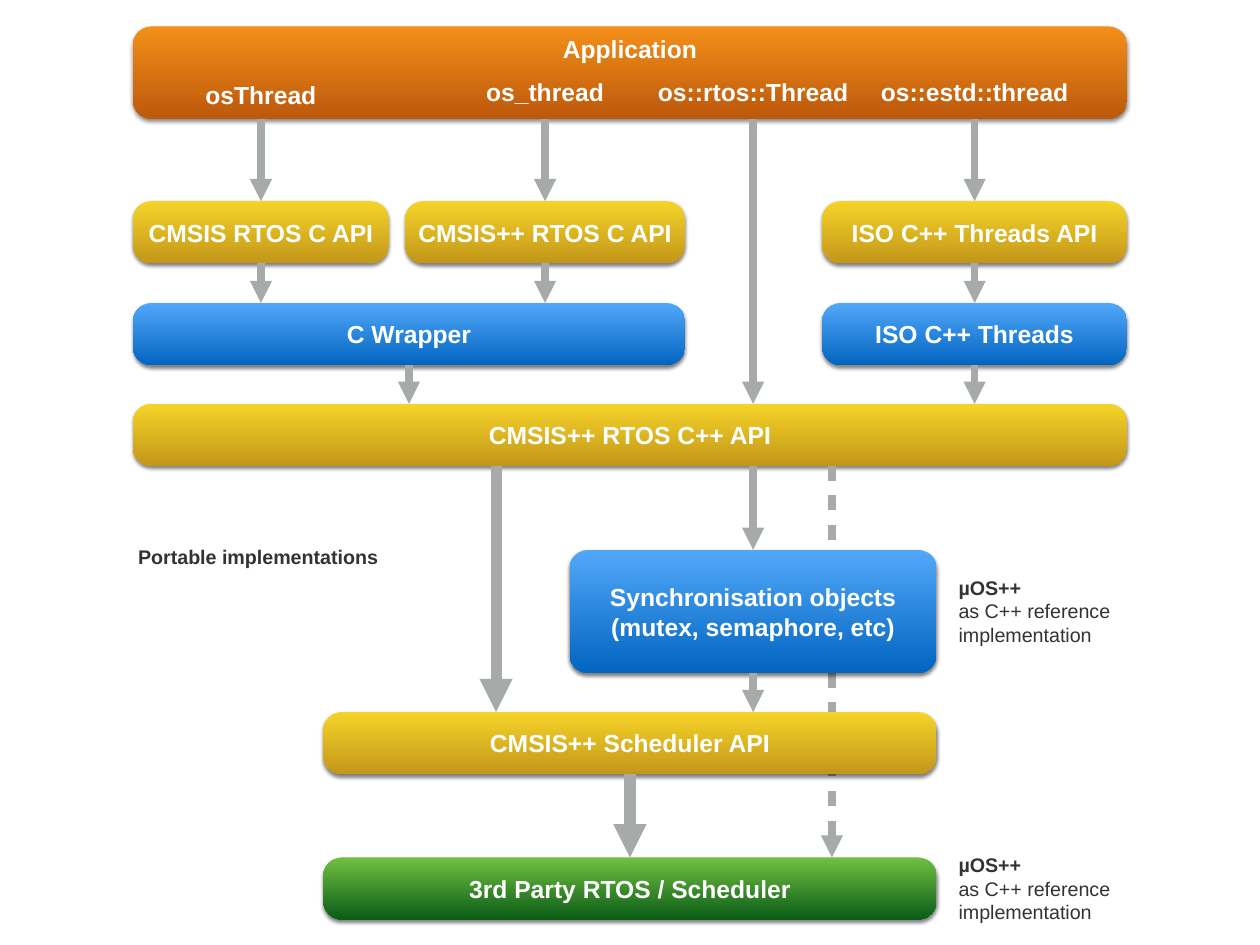
"""Build the slide of RTOS API layers, from application to scheduler."""
from lxml import etree
from pptx import Presentation
from pptx import util as u
from pptx.dml.color import RGBColor
from pptx.enum import shapes, text
from pptx.oxml import ns

Cm, Pt, qn = u.Cm, u.Pt, ns.qn
HEX = {
    "orange": ("F38F18", "BD590C"),
    "yellow": ("F5D328", "C3971A"),
    "blue": ("51A8F9", "0365C0"),
    "green": ("70BF41", "0B5D18"),
    "white": "FFFFFF",
    "dark": "323333",
    "grey": "A6AAA9",
    "black": "000000",
}
ROUND = 0.53
INSET = Cm(0.15)
LOW = 1.78


def put(shape, lines, size, color, align):
    """Write (text, bold) lines into a shape, one paragraph each."""
    frame = shape.text_frame
    frame.word_wrap = align == text.PP_ALIGN.LEFT
    frame.vertical_anchor = text.MSO_ANCHOR.MIDDLE
    frame.margin_left = frame.margin_right = INSET
    frame.margin_top = frame.margin_bottom = INSET
    for i, (words, bold) in enumerate(lines):
        para = frame.add_paragraph() if i else frame.paragraphs[0]
        para.alignment = align
        run = para.add_run()
        run.text = words
        run.font.name = "Arial"
        run.font.size = Pt(size)
        run.font.bold = bold
        run.font.color.rgb = RGBColor.from_string(HEX[color])


def arrow(x, top, end, width=6, dashed=False):
    """Draw a downward arrow at x from one box to another."""
    line = slide.shapes.add_connector(
        shapes.MSO_CONNECTOR.STRAIGHT, x, top.top + top.height, x, end.top)
    if x == top.left + top.width // 2:
        line.begin_connect(top, 2)
    if x == end.left + end.width // 2:
        line.end_connect(end, 0)
    line.line.color.rgb = RGBColor.from_string(HEX["grey"])
    line.line.width = Pt(width)
    props = line.element.spPr
    ln = props.find(qn("a:ln"))
    if dashed:
        dash = etree.SubElement(ln, qn("a:custDash"))
        etree.SubElement(dash, qn("a:ds"), d="200000", sp="200000")
    etree.SubElement(ln, qn("a:tailEnd"), type="triangle")
    etree.SubElement(props, qn("a:effectLst"))


prs = Presentation()
prs.slide_width, prs.slide_height = Cm(36.12), Cm(27.1)
slide = prs.slides.add_slide(prs.slide_layouts[6])

boxes = [
    ("third", "green", 9.27, 24.59, 17.58, LOW, ["3rd Party RTOS / Scheduler"]),
    ("api", "yellow", 3.81, 11.58, 28.5, LOW, ["CMSIS++ RTOS C++ API"]),
    ("wrap", "blue", 3.81, 8.69, 15.83, LOW, ["C Wrapper"]),
    ("plus", "yellow", 11.61, 5.77, 8.03, LOW, ["CMSIS++ RTOS C API"]),
    ("iso", "blue", 23.57, 8.69, 8.74, LOW, ["ISO C++ Threads"]),
    ("isoapi", "yellow", 23.57, 5.77, 8.74, LOW, ["ISO C++ Threads API"]),
    ("capi", "yellow", 3.81, 5.77, 7.34, LOW, ["CMSIS RTOS C API"]),
    ("app", "orange", 3.81, 0.76, 28.5, 2.64, ["Application"]),
    ("sync", "blue", 16.33, 15.77, 10.52, 3.53,
     ["Synchronisation objects", "(mutex, semaphore, etc)"]),
    ("sched", "yellow", 9.27, 20.42, 17.58, LOW, ["CMSIS++ Scheduler API"]),
]
box, mid = {}, {}
for name, color, left, top, width, height, lines in boxes:
    if name == "sync":
        arrow(Cm(23.85), box["api"], box["third"], dashed=True)
    shape = slide.shapes.add_shape(
        shapes.MSO_SHAPE.ROUNDED_RECTANGLE,
        Cm(left), Cm(top), Cm(width), Cm(height))
    shape.adjustments[0] = ROUND / height
    shape.fill.gradient()
    shape.fill.gradient_angle = 270
    for stop, shade in zip(shape.fill.gradient_stops, HEX[color]):
        stop.color.rgb = RGBColor.from_string(shade)
    shape.line.fill.background()
    shape.shadow.inherit = False
    cast = etree.SubElement(
        shape.element.spPr.find(qn("a:effectLst")), qn("a:outerShdw"),
        blurRad=str(Pt(3)), dist=str(Pt(2)), dir="5400000", rotWithShape="0")
    tint = etree.SubElement(cast, qn("a:srgbClr"), val=HEX["black"])
    etree.SubElement(tint, qn("a:alpha"), val="50000")
    put(shape, [(words, True) for words in lines], 20, "white",
        text.PP_ALIGN.CENTER)
    box[name] = shape
    mid[name] = shape.left + shape.width // 2

box["app"].text_frame.vertical_anchor = text.MSO_ANCHOR.TOP
box["app"].text_frame.margin_top = Cm(0.05)

links = [
    ("capi", "app", "capi"), ("plus", "app", "plus"),
    ("sync", "app", "api"), ("isoapi", "app", "isoapi"),
    ("capi", "capi", "wrap"), ("plus", "plus", "wrap"),
    ("isoapi", "isoapi", "iso"), ("wrap", "wrap", "api"),
    ("iso", "iso", "api"), ("sync", "api", "sync"),
    ("sync", "sync", "sched"),
]
for col, top, end in links:
    arrow(mid[col], box[top], box[end])
arrow(Cm(14.22), box["api"], box["sched"], 9)
arrow(mid["sched"], box["sched"], box["third"], 9)

calls = [
    ("capi", 2.16, "osThread"), ("plus", 2.08, "os_thread"),
    ("sync", 2.08, "os::rtos::Thread"), ("isoapi", 2.08, "os::estd::thread"),
]
wide = Cm(5.77)
for col, top, words in calls:
    label = slide.shapes.add_textbox(
        mid[col] - wide // 2, Cm(top), wide, Cm(1.12))
    put(label, [(words, True)], 20, "white", text.PP_ALIGN.CENTER)

about = [("µOS++", True), ("as C++ reference", False),
         ("implementation", False)]
notes = [
    (27.33, 16.38, 4.83, 2.29, about),
    (27.33, 24.33, 4.83, 2.29, about),
    (3.81, 15.47, 7.37, 0.97, [("Portable implementations", True)]),
]
for left, top, width, height, lines in notes:
    note = slide.shapes.add_textbox(Cm(left), Cm(top), Cm(width), Cm(height))
    put(note, lines, 16, "dark", text.PP_ALIGN.LEFT)

prs.save("out.pptx")
